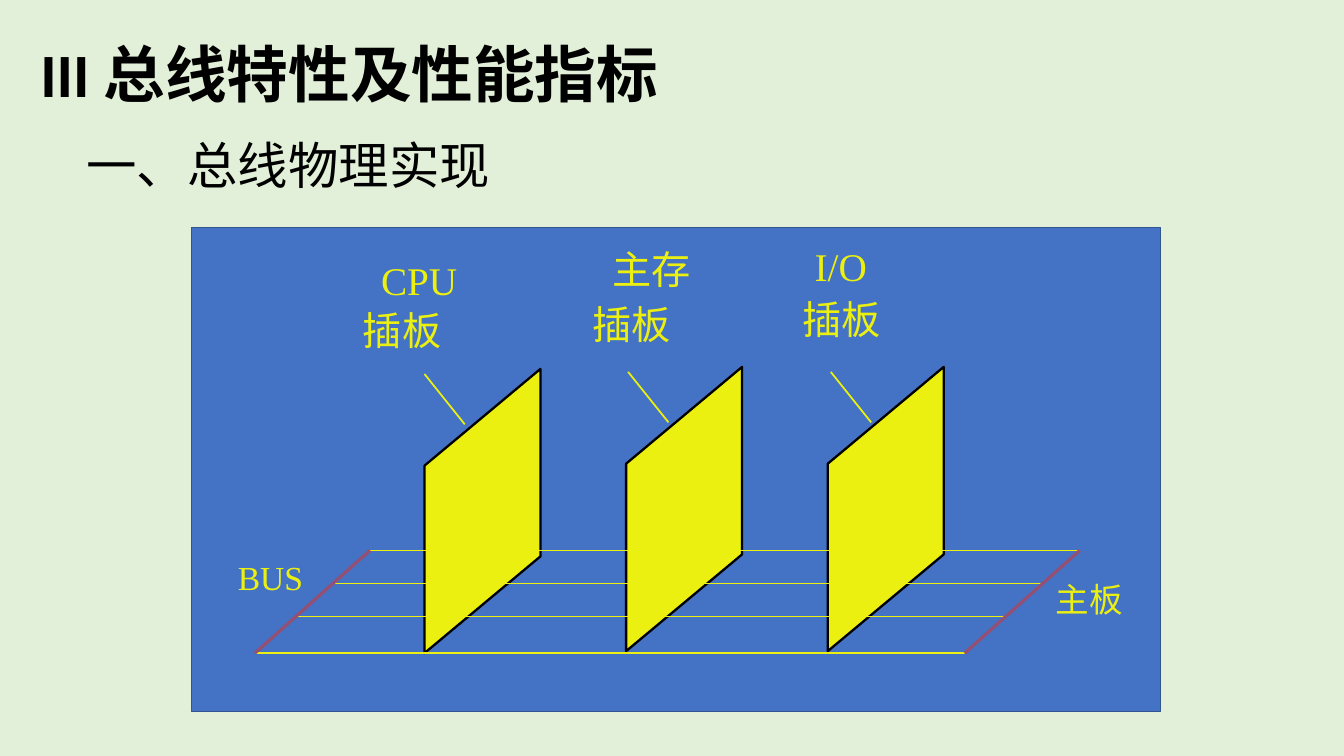
"""Build the slide on the physical layout of a bus with plug-in boards."""
from pptx import Presentation
from pptx.dml.color import RGBColor
from pptx.enum.shapes import MSO_CONNECTOR, MSO_SHAPE
from pptx.enum.text import MSO_ANCHOR, MSO_AUTO_SIZE
from pptx.oxml.ns import qn
from pptx.util import Inches, Pt
from lxml.etree import SubElement

GREEN = RGBColor(0xE2, 0xF0, 0xD9)
BLUE = RGBColor(0x44, 0x72, 0xC4)
NAVY = RGBColor(0x32, 0x54, 0x91)
YELLOW = RGBColor(0xEB, 0xF0, 0x10)
PLUM = RGBColor(0x95, 0x4F, 0x72)
BLACK = RGBColor(0, 0, 0)
SERIF, SANS = "Times New Roman", "Noto Sans CJK SC"

TITLE = "III 总线特性及性能指标"
LABELS = [
    ("一、总线物理实现", 0.76, 1.28, 4.22, 0.7, 36, BLACK),
    ("BUS", 2.26, 5.48, 0.85, 0.5, 24, YELLOW),
    ("主板", 10.37, 5.69, 0.87, 0.5, 24, YELLOW),
]
BOARDS = [
    {"name": ("CPU", 3.78, 2.54, 0.76), "card": (3.6, 3.04), "corner": (4.21, 3.66), "lead": 4.21},
    {"name": ("主存", 6.07, 2.43, 0.78), "card": (5.88, 2.98), "corner": (6.21, 3.64), "lead": 6.23},
    {"name": ("I/O", 8.08, 2.4, 0.52), "card": (7.96, 2.93), "corner": (8.21, 3.64), "lead": 8.24},
]
BOARD_W, BOARD_RISE, BOARD_H = 1.15, 0.96, 1.86
WIRES = [(5.46, 0.75), (5.79, 0.75), (6.12, 0.75), (6.48, 1.63)]
BUS_LEFT, BUS_TOP, BUS_LENGTH, BUS_SLOPE = 3.67, 5.46, 7.04, 1.12


def style(p, size, color, font, bold=False):
    f = p.font
    f.size, f.name, f.bold = Pt(size), font, bold
    f.color.rgb = color
    SubElement(f._element, qn("a:ea")).set("typeface", SANS)


def add_text(s, text, x, y, w, h, size, color, font=SERIF, inset=True):
    tf = s.shapes.add_textbox(Inches(x), Inches(y), Inches(w), Inches(h)).text_frame
    tf.word_wrap = False
    tf.auto_size = MSO_AUTO_SIZE.SHAPE_TO_FIT_TEXT
    if not inset:
        tf.margin_left = tf.margin_right = tf.margin_top = tf.margin_bottom = 0
    p = tf.paragraphs[0]
    p.text = text
    style(p, size, color, font)


def add_line(s, x1, y1, x2, y2, color, width):
    c = s.shapes.add_connector(MSO_CONNECTOR.STRAIGHT, Inches(x1), Inches(y1), Inches(x2), Inches(y2))
    c.line.color.rgb = color
    c.line.width = Pt(width)
    SubElement(c._element.spPr, qn("a:effectLst"))


def paint(sp, fill, line, width):
    sp.shadow.inherit = False
    sp.fill.solid()
    sp.fill.fore_color.rgb = fill
    sp.line.color.rgb = line
    sp.line.width = Pt(width)


def add_board(s, name, card, corner, lead):
    text, x, y, w = name
    add_text(s, text, x, y, w, 0.47, 28, YELLOW, inset=False)
    add_text(s, "插板", *card, 0.78, 0.47, 28, YELLOW, SANS, inset=False)
    left, top = corner
    right, low = left + BOARD_W, top + BOARD_RISE
    outline = [(right, top), (right, top + BOARD_H), (left, low + BOARD_H)]
    fb = s.shapes.build_freeform(Inches(left), Inches(low))
    fb.add_line_segments([(Inches(px), Inches(py)) for px, py in outline], close=True)
    paint(fb.convert_to_shape(), YELLOW, BLACK, 1.63)
    add_line(s, lead, top + 0.05, lead + 0.4, top + 0.55, YELLOW, 1.25)


def bus_x(y):
    return BUS_LEFT - (y - BUS_TOP) * BUS_SLOPE


prs = Presentation()
prs.slide_width, prs.slide_height = Inches(13.33), Inches(7.5)
s = prs.slides.add_slide(prs.slide_layouts[5])
s.background.fill.solid()
s.background.fill.fore_color.rgb = GREEN

title = s.shapes.title
title.left, title.top, title.width, title.height = Inches(0.3), Inches(0.14), Inches(8.5), Inches(1.25)
title.text_frame.text = TITLE
title.text_frame.vertical_anchor = MSO_ANCHOR.MIDDLE
p = title.text_frame.paragraphs[0]
p.alignment = 1
p.line_spacing = 0.9
style(p, 44, BLACK, "Calibri", True)

panel = s.shapes.add_shape(MSO_SHAPE.RECTANGLE, Inches(1.9), Inches(2.26), Inches(9.61), Inches(4.8))
paint(panel, BLUE, NAVY, 1)

for board in BOARDS:
    add_board(s, **board)

for y, width in WIRES:
    add_line(s, bus_x(y), y, bus_x(y) + BUS_LENGTH, y, YELLOW, width)
bottom = WIRES[-1][0]
for shift in (0, BUS_LENGTH):
    add_line(s, bus_x(BUS_TOP) + shift, BUS_TOP, bus_x(bottom) + shift, bottom, PLUM, 2.25)

for label in LABELS:
    add_text(s, *label)

prs.save("out.pptx")
